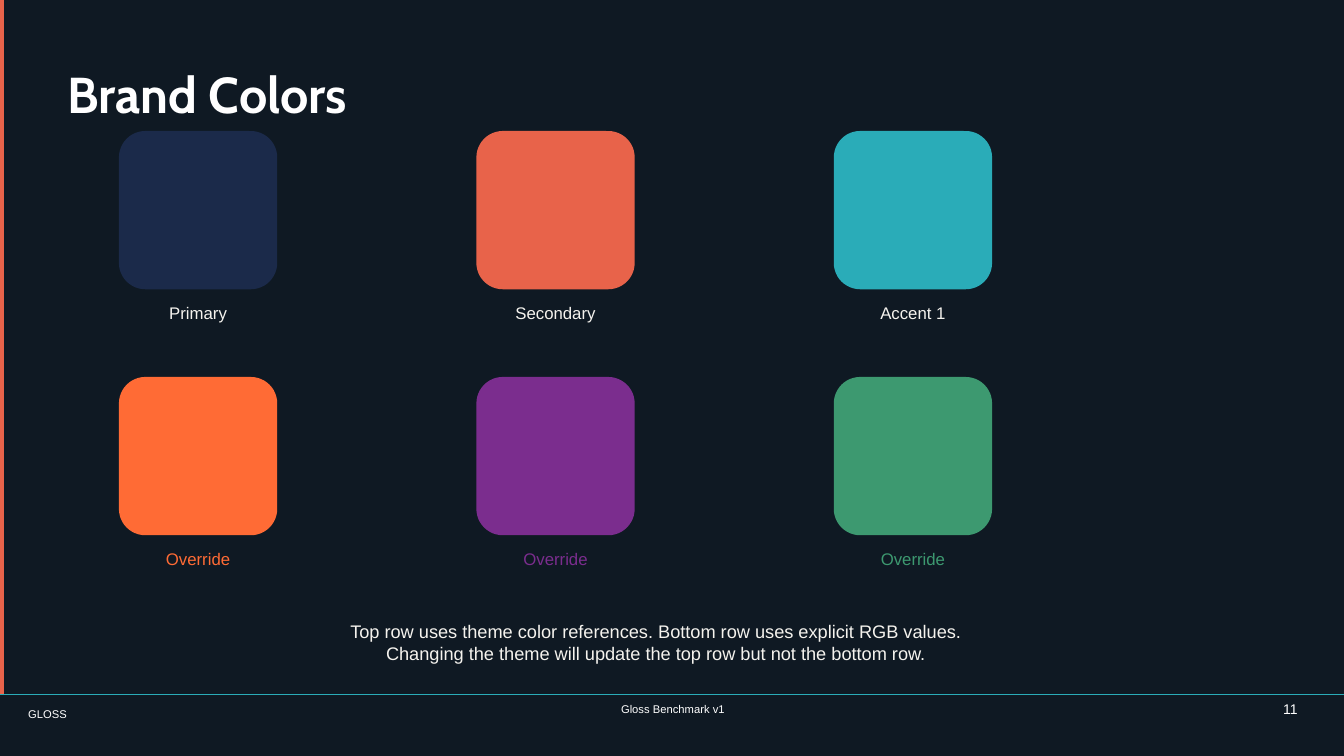
from lxml import etree
from pptx import Presentation
from pptx.dml.color import RGBColor
from pptx.enum.shapes import MSO_CONNECTOR, MSO_SHAPE
from pptx.enum.text import MSO_ANCHOR, MSO_AUTO_SIZE, PP_ALIGN
from pptx.oxml.ns import qn
from pptx.util import Inches, Pt

LINE = MSO_CONNECTOR.STRAIGHT
RECT, ROUND = MSO_SHAPE.RECTANGLE, MSO_SHAPE.ROUNDED_RECTANGLE
TOP, MIDDLE = MSO_ANCHOR.TOP, MSO_ANCHOR.MIDDLE
LEFT, CENTER, RIGHT = PP_ALIGN.LEFT, PP_ALIGN.CENTER, PP_ALIGN.RIGHT
NO_FIT = MSO_AUTO_SIZE.NONE

NIGHT = RGBColor(0x0F, 0x19, 0x23)
WHITE = RGBColor(0xFF, 0xFF, 0xFF)
CREAM = RGBColor(0xF5, 0xF3, 0xEE)
NAVY = RGBColor(0x1B, 0x2A, 0x4A)
CORAL = RGBColor(0xE8, 0x63, 0x4A)
TEAL = RGBColor(0x2A, 0xAC, 0xB8)
ORANGE = RGBColor(0xFF, 0x6B, 0x35)
PURPLE = RGBColor(0x7B, 0x2D, 0x8E)
GREEN = RGBColor(0x3D, 0x99, 0x70)

WIDTH, HEIGHT = 13.33, 7.5
ROWS = [
    [("Primary", NAVY, CREAM), ("Secondary", CORAL, CREAM), ("Accent 1", TEAL, CREAM)],
    [("Override", color, color) for color in (ORANGE, PURPLE, GREEN)],
]
NOTE = [
    "Top row uses theme color references. Bottom row uses explicit RGB values.",
    "Changing the theme will update the top row but not the bottom row.",
]


def place(box):
    """Turn a box in inches into lengths."""
    return [Inches(size) for size in box]


def write(shape, lines, size, color, align=CENTER, anchor=MIDDLE, font="Arial", bold=False):
    """Fill a shape's frame with evenly styled lines."""
    frame = shape.text_frame
    frame.word_wrap = True
    frame.auto_size = NO_FIT
    frame.vertical_anchor = anchor
    frame.margin_left = frame.margin_right = frame.margin_top = frame.margin_bottom = 0
    frame.text = "\n".join(lines)
    for para in frame.paragraphs:
        para.alignment = align
        para.font.name, para.font.size = font, Pt(size)
        para.font.bold, para.font.color.rgb = bold, color


def add_label(slide, box, lines, size, color, align=CENTER, anchor=MIDDLE):
    """Add a text box."""
    write(slide.shapes.add_textbox(*place(box)), lines, size, color, align, anchor)


def add_block(slide, kind, box, color):
    """Add a plain filled shape."""
    block = slide.shapes.add_shape(kind, *place(box))
    block.shadow.inherit = False
    block.fill.solid()
    block.fill.fore_color.rgb = color
    block.line.fill.background()


def add_title(slide, box):
    """Move and style the title."""
    title = slide.shapes.title
    title.left, title.top, title.width, title.height = place(box)
    write(title, ["Brand Colors"], 36, WHITE, LEFT, font="Cabin", bold=True)


def add_swatch(slide, box, name, fill, ink):
    """Add a colour tile with its name below."""
    left, top, width, height = box
    add_block(slide, ROUND, box, fill)
    add_label(slide, (left, top + height + 0.08, width, 0.31), [name], 12, ink)


def add_grid(slide, box):
    """Spread the swatches over a box, flush with its edges."""
    left, top, width, height = box
    side = 1.57
    for row, items in enumerate(ROWS):
        for col, item in enumerate(items):
            x = left + col * (width - side) / (len(items) - 1)
            y = top + row * (height - side - 0.39) / (len(ROWS) - 1)
            add_swatch(slide, (x, y, side, side), *item)


def add_footer(slide, box):
    """Draw the rule and the three footer texts."""
    left, top, width, _ = box
    rule = slide.shapes.add_connector(LINE, *place((left, top, left + width, top)))
    rule.line.color.rgb, rule.line.width = TEAL, Pt(0.5)
    etree.SubElement(rule.element.spPr, qn("a:effectLst"))
    add_label(slide, (left + 0.28, top + 0.08, 1.97, 0.22), ["GLOSS"], 8, WHITE, LEFT)
    add_label(slide, (left + 4.41, top + 0.08, 4.53, 0.2), ["Gloss Benchmark v1"], 8, WHITE, anchor=TOP)
    add_label(slide, (left + width - 0.93, top + 0.06, 0.47, 0.24), ["11"], 10, WHITE, RIGHT, TOP)


def main():
    """Build and save the slide."""
    deck = Presentation()
    deck.slide_width, deck.slide_height = Inches(WIDTH), Inches(HEIGHT)
    slide = deck.slides.add_slide(deck.slide_layouts[5])
    slide.background.fill.solid()
    slide.background.fill.fore_color.rgb = NIGHT
    add_block(slide, RECT, (0, 0, 0.04, 6.89), CORAL)
    add_title(slide, (0.67, 0.3, 12, 1.25))
    add_grid(slide, (1.18, 1.3, 8.66, 4.4))
    add_label(slide, (0.79, 6.02, 11.42, 0.71), NOTE, 13, CREAM)
    add_footer(slide, (0, 6.89, WIDTH, 0.61))
    deck.save("out.pptx")


if __name__ == "__main__":
    main()
